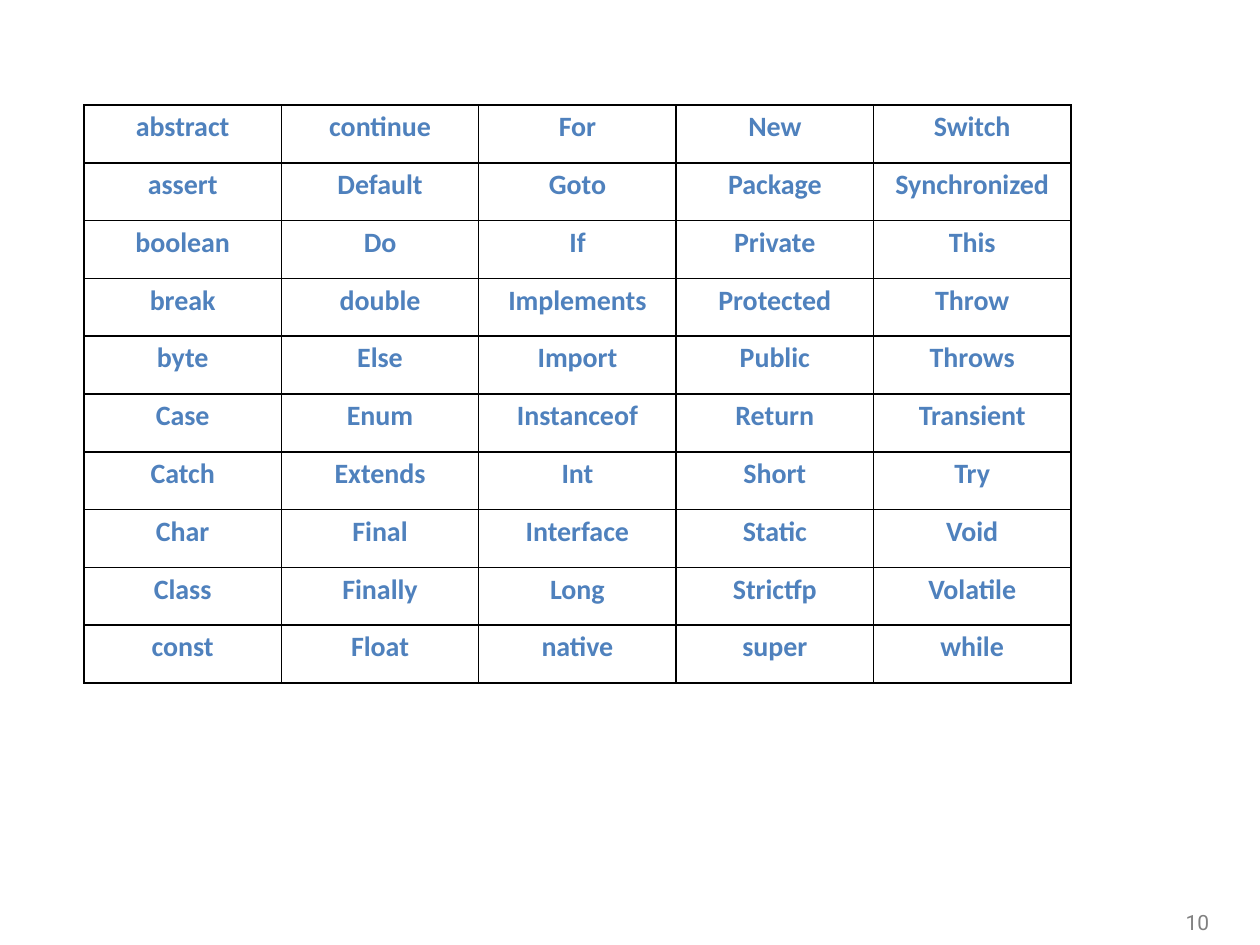
"""Build a slide with a table of Java keywords and a page number."""
from dataclasses import dataclass

import lxml.etree
import pptx
import pptx.dml.color
import pptx.enum.text
import pptx.oxml.ns
import pptx.util

PX = 914400 // 126
BLUE = pptx.dml.color.RGBColor(0x4F, 0x81, 0xBD)
GRAY = pptx.dml.color.RGBColor(0x80, 0x80, 0x80)
BLACK = pptx.dml.color.RGBColor(0, 0, 0)
CENTER = pptx.enum.text.PP_ALIGN.CENTER


@dataclass(frozen=True)
class Box:
    left: int
    top: int
    width: int
    height: int

    def emu(self) -> tuple[int, ...]:
        return tuple(v * PX for v in (self.left, self.top, self.width, self.height))


@dataclass(frozen=True)
class Style:
    font: dict
    color: pptx.dml.color.RGBColor
    para: dict


TABLE_BOX = Box(84, 105, 987, 578)
NUMBER_BOX = Box(1166, 903, 63, 38)
KEYWORD = Style(
    {"name": "Calibri", "size": pptx.util.Pt(16), "bold": True},
    BLUE,
    {"alignment": CENTER, "line_spacing": 1.15},
)
NUMBER = Style(
    {"name": "Roboto", "size": pptx.util.Pt(12)}, GRAY, {"alignment": CENTER}
)
CELL = {
    "margin_left": 9 * PX,
    "margin_right": 9 * PX,
    "margin_top": 0,
    "margin_bottom": 0,
    "vertical_anchor": pptx.enum.text.MSO_ANCHOR.TOP,
}
PLAIN_TABLE = {"first_row": False, "horz_banding": False}
COLUMNS = [
    "abstract assert boolean break byte Case Catch Char Class const",
    "continue Default Do double Else Enum Extends Final Finally Float",
    "For Goto If Implements Import Instanceof Int Interface Long native",
    "New Package Private Protected Public Return Short Static Strictfp super",
    "Switch Synchronized This Throw Throws Transient Try Void Volatile while",
]


def apply(target: object, values: dict) -> None:
    for name, value in values.items():
        setattr(target, name, value)


def write(tf: pptx.text.text.TextFrame, text: str, style: Style) -> None:
    p = tf.paragraphs[0]
    apply(p, style.para)
    r = p.add_run()
    r.text = text
    apply(r.font, style.font)
    r.font.color.rgb = style.color


def add_borders(cell: pptx.table._Cell) -> None:
    qn = pptx.oxml.ns.qn
    tc_pr = cell._tc.get_or_add_tcPr()
    for side in ("lnL", "lnR", "lnT", "lnB"):
        ln = lxml.etree.SubElement(tc_pr, qn(f"a:{side}"), w=str(pptx.util.Pt(1)))
        fill = lxml.etree.SubElement(ln, qn("a:solidFill"))
        lxml.etree.SubElement(fill, qn("a:srgbClr"), val=str(BLACK))


def add_keywords(s: pptx.slide.Slide) -> None:
    columns = [words.split() for words in COLUMNS]
    table = s.shapes.add_table(len(columns[0]), len(columns), *TABLE_BOX.emu()).table
    apply(table, PLAIN_TABLE)
    for col, words in enumerate(columns):
        for row, word in enumerate(words):
            cell = table.cell(row, col)
            apply(cell, CELL)
            add_borders(cell)
            cell.fill.background()
            write(cell.text_frame, word, KEYWORD)


def add_number(s: pptx.slide.Slide) -> None:
    tf = s.shapes.add_textbox(*NUMBER_BOX.emu()).text_frame
    tf.word_wrap = True
    write(tf, "10", NUMBER)


def main() -> None:
    prs = pptx.Presentation()
    apply(prs, {"slide_width": 1260 * PX, "slide_height": 945 * PX})
    s = prs.slides.add_slide(prs.slide_layouts[6])
    add_number(s)
    add_keywords(s)
    prs.save("out.pptx")


main()
